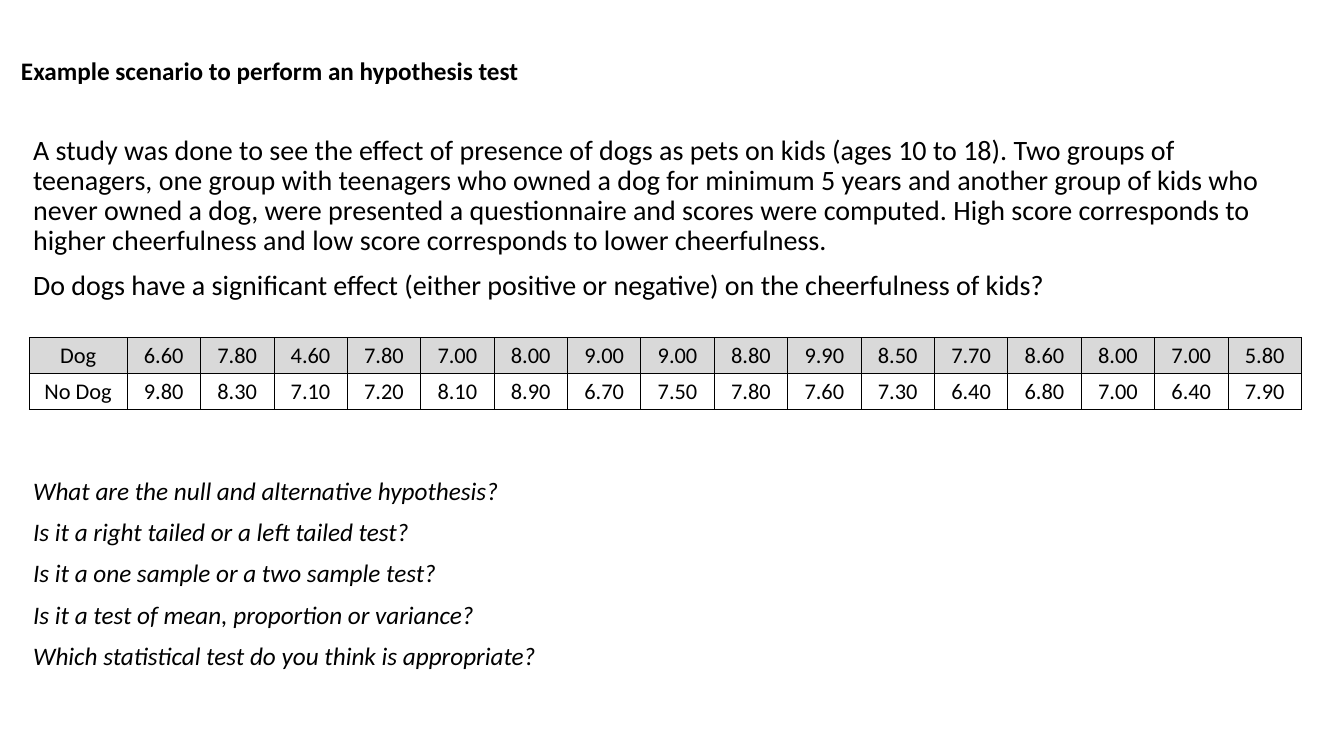
"""Build a slide with an example scenario for a hypothesis test."""
from dataclasses import dataclass

from lxml import etree
from pptx import Presentation
from pptx.dml.color import RGBColor
from pptx.enum.text import MSO_ANCHOR, PP_ALIGN
from pptx.oxml.ns import qn
from pptx.slide import Slide
from pptx.table import _Cell
from pptx.text.text import _Paragraph
from pptx.util import Pt

CENTER = PP_ALIGN.CENTER
MIDDLE = MSO_ANCHOR.MIDDLE
PX = 9144
FONT = "Calibri"
COLORS = {"ink": "000000", "shade": "D9D9D9", "paper": "FFFFFF"}
BORDER_SIDES = ("a:lnL", "a:lnR", "a:lnT", "a:lnB")


@dataclass(frozen=True)
class Passage:
    """Paragraphs that share a place and a style."""
    left: int
    top: int
    width: int
    height: int
    lines: tuple[str, ...]
    size: int
    bold: bool = False
    italic: bool = False
    indent: int = 0
    line_spacing: float = 1.0
    space_before: int = 0


@dataclass(frozen=True)
class ScoreRow:
    """One group of teenagers and its cheerfulness scores."""
    group: str
    scores: tuple[float, ...]
    fill: str


PASSAGES = (
    Passage(11, 130, 1248, 190, (
        "A study was done to see the effect of presence of dogs as pets on kids "
        "(ages 10 to 18). Two groups of teenagers, one group with teenagers who "
        "owned a dog for minimum 5 years and another group of kids who never owned "
        "a dog, were presented a questionnaire and scores were computed. High score "
        "corresponds to higher cheerfulness and low score corresponds to lower "
        "cheerfulness.",
        "Do dogs have a significant effect (either positive or negative) on the "
        "cheerfulness of kids?",
    ), 20, indent=12, line_spacing=0.9, space_before=10),
    Passage(11, 470, 1248, 220, (
        "What are the null and alternative hypothesis?",
        "Is it a right tailed or a left tailed test?",
        "Is it a one sample or a two sample test?",
        "Is it a test of mean, proportion or variance?",
        "Which statistical test do you think is appropriate?",
    ), 18, italic=True, indent=12, line_spacing=0.9, space_before=10),
    Passage(11, 50, 631, 40, ("Example scenario to perform an hypothesis test",),
            18, bold=True),
)

SCORE_ROWS = (
    ScoreRow("Dog", (6.6, 7.8, 4.6, 7.8, 7.0, 8.0, 9.0, 9.0,
                     8.8, 9.9, 8.5, 7.7, 8.6, 8.0, 7.0, 5.8), "shade"),
    ScoreRow("No Dog", (9.8, 8.3, 7.1, 7.2, 8.1, 8.9, 6.7, 7.5,
                        7.8, 7.6, 7.3, 6.4, 6.8, 7.0, 6.4, 7.9), "paper"),
)


def add_run(paragraph: _Paragraph, text: str, size: int,
            bold: bool = False, italic: bool = False) -> None:
    """Append one styled run."""
    run = paragraph.add_run()
    run.text = text
    run.font.name = FONT
    run.font.size = Pt(size)
    run.font.bold = bold
    run.font.italic = italic
    run.font.color.rgb = RGBColor.from_string(COLORS["ink"])


def draw_passage(slide: Slide, passage: Passage) -> None:
    """Draw a passage as a wrapped text box."""
    frame = slide.shapes.add_textbox(passage.left * PX, passage.top * PX,
                                     passage.width * PX, passage.height * PX).text_frame
    frame.word_wrap = True
    for index, line in enumerate(passage.lines):
        paragraph = frame.add_paragraph() if index else frame.paragraphs[0]
        paragraph.line_spacing = passage.line_spacing
        paragraph.space_before = Pt(passage.space_before)
        properties = paragraph._p.get_or_add_pPr()
        properties.set("marL", str(passage.indent * PX))
        properties.set("indent", "0")
        add_run(paragraph, line, passage.size, passage.bold, passage.italic)


def add_borders(cell: _Cell) -> None:
    """Give a cell thin lines on all sides."""
    properties = cell._tc.get_or_add_tcPr()
    for position, side in enumerate(BORDER_SIDES):
        border = etree.Element(qn(side), w=str(Pt(0.5)))
        solid = etree.SubElement(border, qn("a:solidFill"))
        etree.SubElement(solid, qn("a:srgbClr"), val=COLORS["ink"])
        properties.insert(position, border)


def fill_cell(cell: _Cell, text: str, fill: str) -> None:
    """Write and style one table cell."""
    cell.margin_left = cell.margin_right = cell.margin_top = PX
    cell.margin_bottom = 0
    cell.vertical_anchor = MIDDLE
    cell.fill.solid()
    cell.fill.fore_color.rgb = RGBColor.from_string(COLORS[fill])
    paragraph = cell.text_frame.paragraphs[0]
    paragraph.alignment = CENTER
    add_run(paragraph, text, 16)
    add_borders(cell)


def draw_scores(slide: Slide, rows: tuple[ScoreRow, ...]) -> None:
    """Draw the score table with equal score columns."""
    width, group_width = 1262 * PX, 97 * PX
    score_count = len(rows[0].scores)
    table = slide.shapes.add_table(len(rows), score_count + 1,
                                   29 * PX, 335 * PX, width, 71 * PX).table
    for index, column in enumerate(table.columns):
        column.width = (width - group_width) // score_count if index else group_width
    for row_index, row in enumerate(rows):
        texts = (row.group, *(f"{score:.2f}" for score in row.scores))
        for column_index, text in enumerate(texts):
            fill_cell(table.cell(row_index, column_index), text, row.fill)


def main() -> None:
    """Build and save the slide."""
    presentation = Presentation()
    presentation.slide_width = 1333 * PX
    presentation.slide_height = 750 * PX
    slide = presentation.slides.add_slide(presentation.slide_layouts[6])
    for passage in PASSAGES:
        draw_passage(slide, passage)
    draw_scores(slide, SCORE_ROWS)
    presentation.save("out.pptx")


if __name__ == "__main__":
    main()
